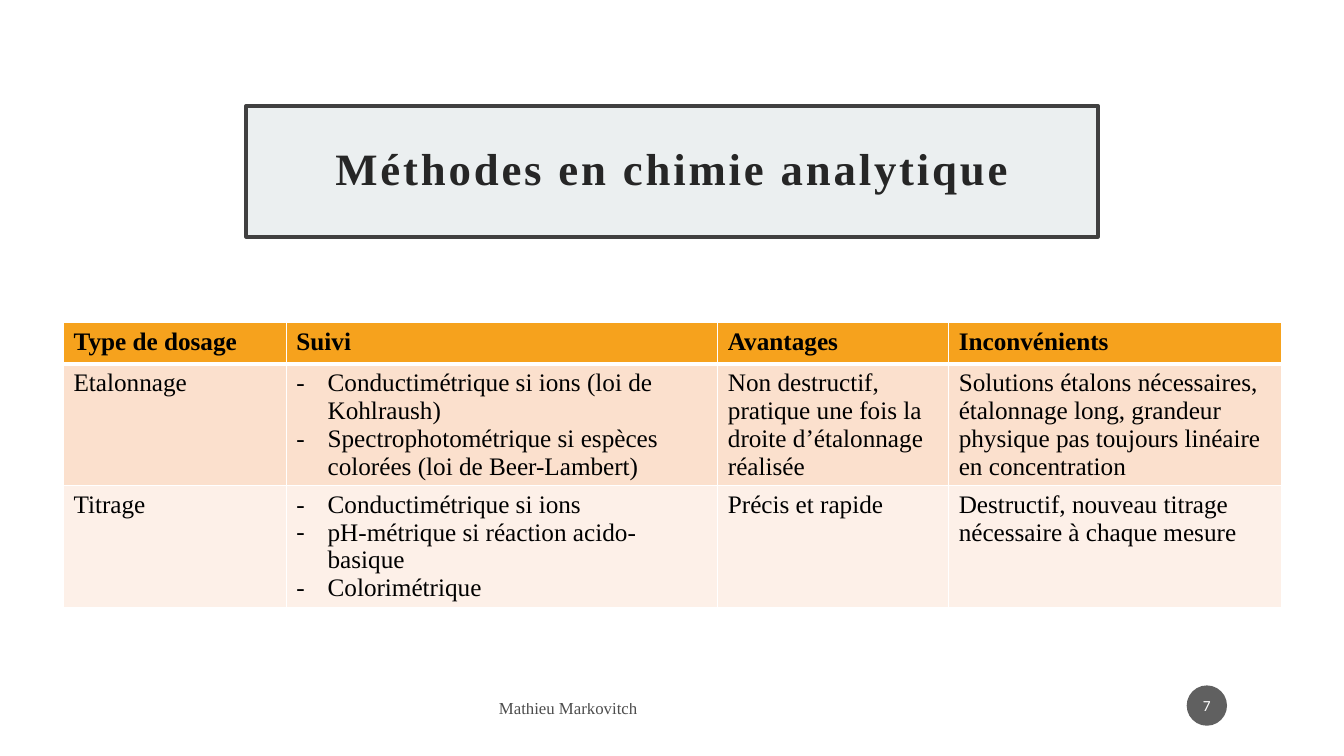
import pptx
import pptx.util
import pptx.dml.color
import pptx.enum.shapes
import pptx.enum.text
from lxml import etree

TITLE = "Méthodes en chimie analytique"
AUTHOR = "Mathieu Markovitch"
PAGE = "7"
# A list in a cell is a dashed list
ROWS = [
    ["Type de dosage", "Suivi", "Avantages", "Inconvénients"],
    ["Etalonnage",
     ["Conductimétrique si ions (loi de Kohlraush)",
      "Spectrophotométrique si espèces colorées (loi de Beer-Lambert)"],
     "Non destructif, pratique une fois la droite d’étalonnage réalisée",
     "Solutions étalons nécessaires, étalonnage long, grandeur physique "
     "pas toujours linéaire en concentration"],
    ["Titrage",
     ["Conductimétrique si ions",
      "pH-métrique si réaction acido-basique",
      "Colorimétrique"],
     "Précis et rapide",
     "Destructif, nouveau titrage nécessaire à chaque mesure"],
]
WIDTHS = [221, 428, 229, 330]
HEIGHTS = [41, 120, 120]
INDENT = 31
COLORS = {
    "white": "FFFFFF", "black": "000000", "title": "262626",
    "panel": "EBEFF0", "frame": "404040", "badge": "1D1D1D",
    "head": "F6A21D", "odd": "FBE0CD", "even": "FDF0E8",
}
FILLS = ["head", "odd", "even"]
SERIF = "Times New Roman"
PX = 9144  # 100 px to the inch

Pt = pptx.util.Pt
Kind = pptx.enum.shapes.MSO_SHAPE
Align = pptx.enum.text.PP_ALIGN
Middle = pptx.enum.text.MSO_ANCHOR.MIDDLE


def rgb(name):
    return pptx.dml.color.RGBColor.from_string(COLORS[name])


def sub(node, tag, **attrs):
    return etree.SubElement(node, pptx.oxml.ns.qn(tag), **attrs)


def paint(fill, name):
    fill.solid()
    fill.fore_color.rgb = rgb(name)


def fade(node):
    """Make the solid colour under node 70 % opaque."""
    color = node.find(".//" + pptx.oxml.ns.qn("a:srgbClr"))
    sub(color, "a:alpha", val="70000")


def write(para, text, size, color, font=SERIF, bold=False):
    run = para.add_run()
    run.text = text
    run.font.size = Pt(size)
    run.font.name = font
    run.font.bold = bold
    run.font.color.rgb = rgb(color)
    return run


def place(box):
    return [n * PX for n in box]


def inset(frame, side, top):
    frame.margin_left = frame.margin_right = side * PX
    frame.margin_top = frame.margin_bottom = top * PX
    frame.vertical_anchor = Middle
    frame.word_wrap = True


def add_panel(kind, box, fill):
    shape = slide.shapes.add_shape(kind, *place(box))
    shape.shadow.inherit = False
    paint(shape.fill, fill)
    shape.line.fill.background()
    shape.text_frame.paragraphs[0].alignment = Align.CENTER
    return shape


def edge(cell, last):
    """Draw white borders, with a thick one under the header row."""
    props = cell._tc.get_or_add_tcPr()
    for spot, side in enumerate("LRTB"):
        width = Pt(3 if side == last else 1)
        line = sub(props, "a:ln" + side, w=str(width))
        sub(sub(line, "a:solidFill"), "a:srgbClr", val=COLORS["white"])
        props.insert(spot, line)


def fill_cell(cell, item, row):
    paint(cell.fill, FILLS[row])
    edge(cell, {0: "B", 1: "T"}.get(row))
    dashed = isinstance(item, list)
    frame = cell.text_frame
    for n, text in enumerate(item if dashed else [item]):
        para = frame.add_paragraph() if n else frame.paragraphs[0]
        if dashed:
            props = para._p.get_or_add_pPr()
            props.set("marL", str(INDENT * PX))
            props.set("indent", str(-INDENT * PX))
            sub(props, "a:buFont", typeface=SERIF)
            sub(props, "a:buChar", char="-")
        write(para, text, 18, "black", bold=row == 0)


deck = pptx.Presentation()
deck.slide_width, deck.slide_height = place((1333, 750))
slide = deck.slides.add_slide(deck.slide_layouts[6])

panel = add_panel(Kind.RECTANGLE, (244, 105, 845, 130), "panel")
panel.line.color.rgb = rgb("frame")
panel.line.width = Pt(2.5)
inset(panel.text_frame, 20, 20)
para = panel.text_frame.paragraphs[0]
para.line_spacing = 0.9
run = write(para, TITLE, 32, "title", bold=True)
run.font._element.set("spc", "200")

grid = slide.shapes.add_table(
    len(ROWS), len(WIDTHS),
    *place((63, 320, sum(WIDTHS), sum(HEIGHTS)))).table
for col, width in zip(grid.columns, WIDTHS):
    col.width = width * PX
for r, items in enumerate(ROWS):
    grid.rows[r].height = HEIGHTS[r] * PX
    for c, item in enumerate(items):
        fill_cell(grid.cell(r, c), item, r)

foot = slide.shapes.add_textbox(*place((485, 685, 172, 35)))
inset(foot.text_frame, 10, 5)
run = write(foot.text_frame.paragraphs[0], AUTHOR, 12, "black")
fade(run.font._element)

badge = add_panel(Kind.OVAL, (1177, 680, 40, 40), "badge")
fade(badge._element.spPr)
inset(badge.text_frame, 2, 5)
write(badge.text_frame.paragraphs[0], PAGE, 11, "white", font="Calibri")

deck.save("out.pptx")
